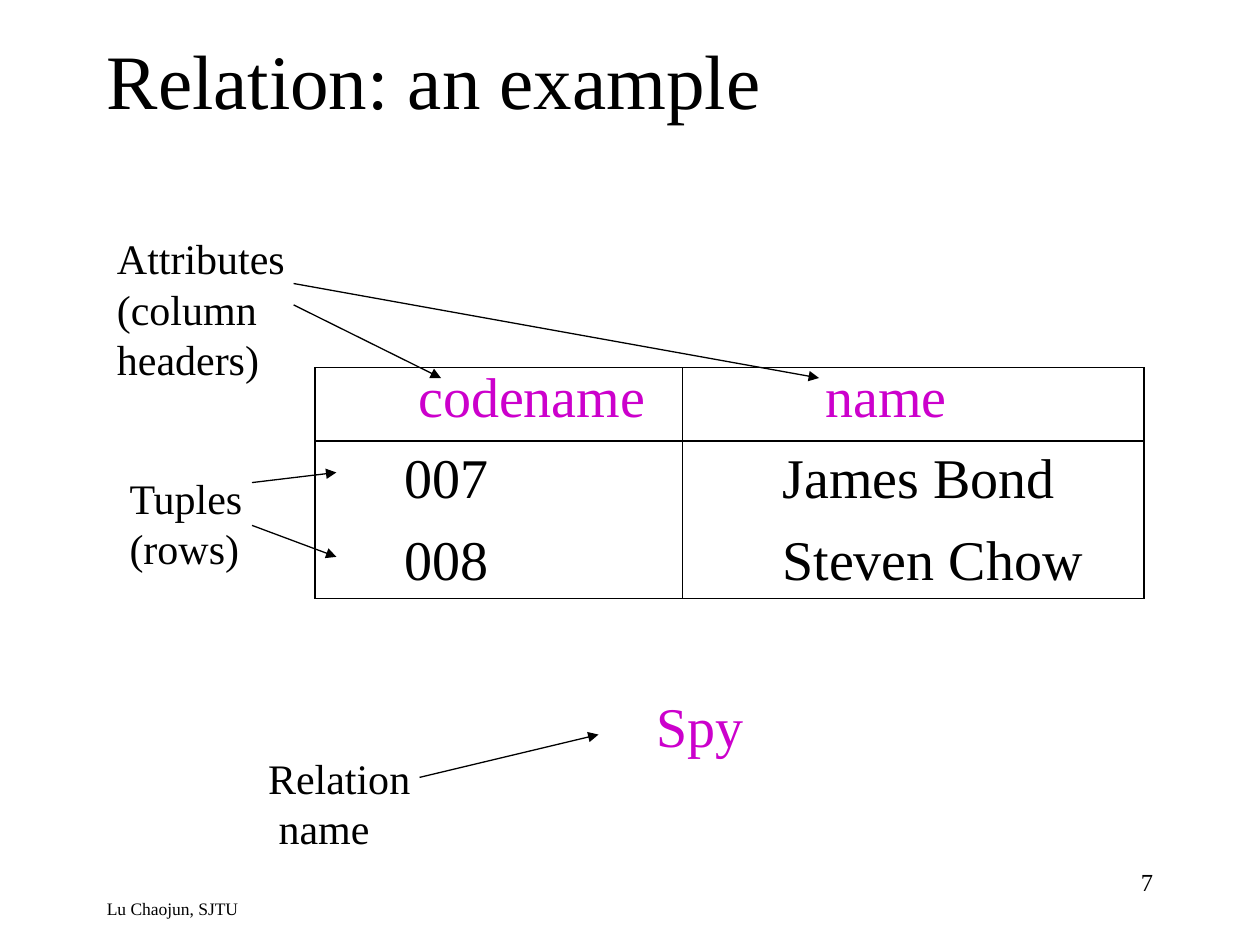
import pptx
import pptx.dml.color
import pptx.enum.shapes
import pptx.enum.text
import pptx.oxml.ns
import pptx.util
import lxml.etree

Inches = pptx.util.Inches
Pt = pptx.util.Pt
qn = pptx.oxml.ns.qn

FONT = "Times New Roman"
BLACK = "000000"
MAGENTA = "CC00CC"
LINE_WIDTH = 0.75


def rgb(color):
    return pptx.dml.color.RGBColor.from_string(color)


def format_text(tf, size, color):
    for p in tf.paragraphs:
        for r in p.runs:
            r.font.name = FONT
            r.font.size = Pt(size)
            r.font.color.rgb = rgb(color)


def add_text(slide, box, text, size, color=BLACK, align="LEFT", anchor="TOP", wrap=True):
    tf = slide.shapes.add_textbox(*map(Inches, box)).text_frame
    tf.word_wrap = wrap
    tf.vertical_anchor = getattr(pptx.enum.text.MSO_ANCHOR, anchor)
    tf.text = text
    for p in tf.paragraphs:
        p.alignment = getattr(pptx.enum.text.PP_ALIGN, align)
    format_text(tf, size, color)


def add_arrow(slide, start, end):
    line_type = pptx.enum.shapes.MSO_CONNECTOR.STRAIGHT
    cxn = slide.shapes.add_connector(line_type, *map(Inches, start + end))
    cxn.line.color.rgb = rgb(BLACK)
    cxn.line.width = Pt(LINE_WIDTH)
    ln = cxn.line._get_or_add_ln()
    lxml.etree.SubElement(ln, qn("a:tailEnd"), type="triangle")
    lxml.etree.SubElement(cxn._element.spPr, qn("a:effectLst"))


def set_borders(cell, hidden):
    tcPr = cell._tc.get_or_add_tcPr()
    for side in ("lnL", "lnR", "lnT", "lnB"):
        ln = lxml.etree.SubElement(tcPr, qn("a:" + side), w=str(Pt(LINE_WIDTH)))
        if side == hidden:
            lxml.etree.SubElement(ln, qn("a:noFill"))
        else:
            fill = lxml.etree.SubElement(ln, qn("a:solidFill"))
            lxml.etree.SubElement(fill, qn("a:srgbClr"), val=BLACK)


def add_relation(slide, left, top, widths, heights, rows):
    frame = slide.shapes.add_table(
        len(rows), len(widths), Inches(left), Inches(top),
        Inches(sum(widths)), Inches(sum(heights)))
    table = frame.table
    table.first_row = table.horz_banding = False
    for column, width in zip(table.columns, widths):
        column.width = Inches(width)
    for row, height in zip(table.rows, heights):
        row.height = Inches(height)
    header_indents, body_indents = (0.82, 1.13), (0.71, 0.79)
    for i, row in enumerate(rows):
        for j, text in enumerate(row):
            cell = table.cell(i, j)
            indents = body_indents if i else header_indents
            cell.margin_left = Inches(indents[j])
            cell.margin_top = Inches(0.06 if i else 0)
            cell.margin_right = cell.margin_bottom = 0
            cell.text = text
            format_text(cell.text_frame, 32, BLACK if i else MAGENTA)
            set_borders(cell, {1: "lnB", 2: "lnT"}.get(i))
            cell.fill.background()


def main():
    prs = pptx.Presentation()
    prs.slide_width, prs.slide_height = Inches(10), Inches(7.5)
    slide = prs.slides.add_slide(prs.slide_layouts[6])

    add_text(slide, (0.75, 7.08, 5.8, 0.25), "Lu Chaojun, SJTU", 10)
    add_text(slide, (0.75, 0, 8.5, 1.25), "Relation: an example", 44, anchor="MIDDLE")
    add_text(slide, (7.17, 6.83, 2.08, 0.5), "7", 14, align="RIGHT")

    add_relation(slide, 2.5, 2.92, (2.92, 3.66), (0.58, 0.65, 0.6), (
        ("codename", "name"),
        ("007", "James Bond"),
        ("008", "Steven Chow"),
    ))
    add_text(slide, (5.11, 5.44, 1, 0.61), "Spy", 32, MAGENTA)

    labels = (
        ((0.83, 1.8, 1.53, 1.3), "Attributes\n(column\nheaders)"),
        ((0.93, 3.7, 1.1, 0.9), "Tuples\n(rows)"),
        ((2.03, 5.92, 1.33, 0.9), "Relation\n name"),
    )
    for box, text in labels:
        add_text(slide, box, text, 24, wrap=False)

    arrows = (
        ((2.33, 2.42), (3.5, 3)),
        ((2.33, 2.25), (6.5, 3)),
        ((2, 3.83), (2.67, 3.75)),
        ((2, 4.17), (2.67, 4.42)),
        ((3.33, 6.17), (4.75, 5.83)),
    )
    for start, end in arrows:
        add_arrow(slide, start, end)

    prs.save("out.pptx")


if __name__ == "__main__":
    main()
